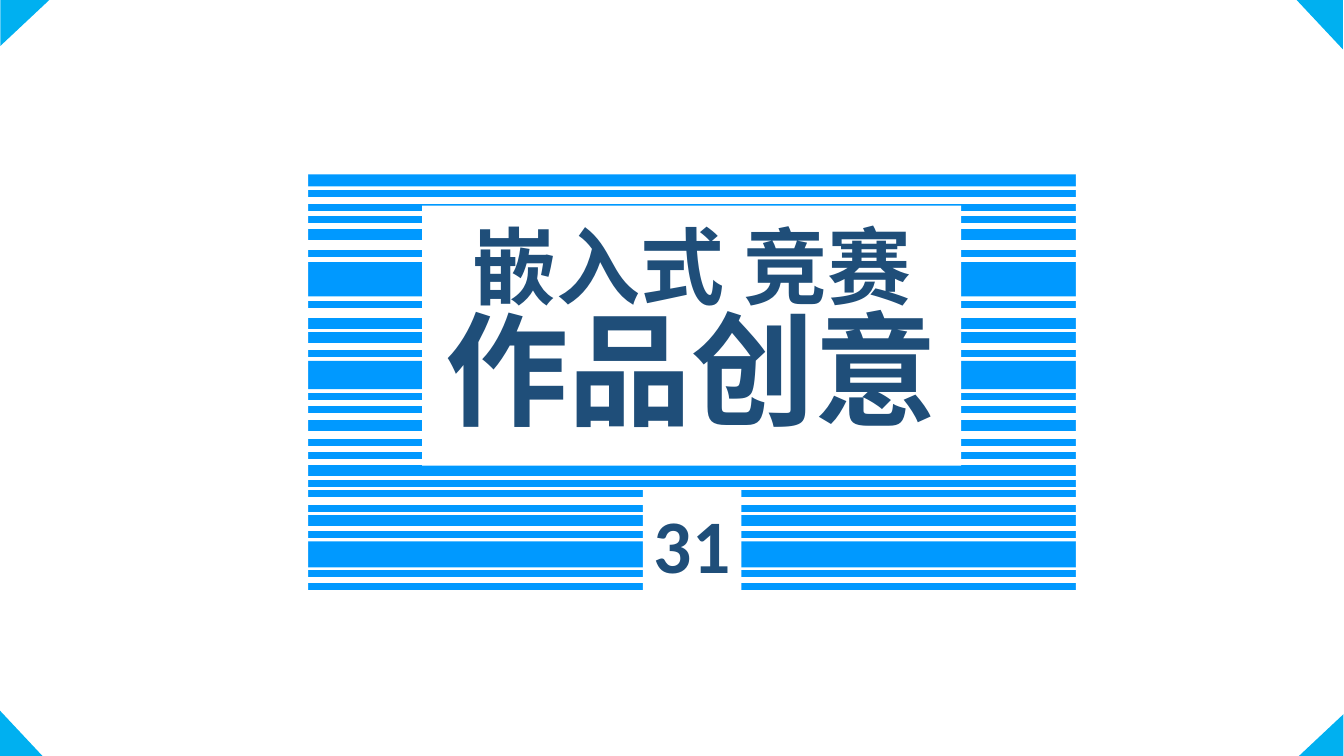
from dataclasses import dataclass

from lxml.etree import SubElement
from pptx import Presentation
from pptx.dml.color import RGBColor
from pptx.enum.shapes import MSO_CONNECTOR, MSO_SHAPE
from pptx.enum.text import MSO_ANCHOR, PP_ALIGN
from pptx.oxml.ns import qn
from pptx.shapes.autoshape import Shape
from pptx.slide import Slide
from pptx.util import Inches, Pt

BLUE, SKY, NAVY, WHITE = "0099FF", "00B0F0", "1F4E79", "FFFFFF"
CJK_FONT, NUMBER_FONT = "Noto Sans CJK SC", "Calibri"
STRIPE_LEFT, STRIPE_WIDTH = 2.92, 7.85
CORNER_WIDTH, CORNER_HEIGHT = 0.46, 0.49

THIN_STRIPES = [1.92, 2.06, 2.18, 2.52, 3.02, 3.19, 3.23, 3.51, 3.93, 4.06, 4.39,
                4.52, 4.8, 4.9, 5.04, 5.3, 5.69, 5.82]
MEDIUM_STRIPES = [2.33, 3.35, 4.22, 4.67, 5.16]


@dataclass(frozen=True)
class Box:
    left: float
    top: float
    width: float
    height: float


@dataclass(frozen=True)
class Corner:
    left: float
    top: float
    rotation: int


@dataclass(frozen=True)
class TextLine:
    text: str
    size: int
    font: str
    spacing: float = 1.0


BANDS = [Box(STRIPE_LEFT, top, STRIPE_WIDTH, height)
         for top, height in [(1.73, 0.12), (2.6, 0.34), (3.58, 0.28), (5.37, 0.26)]]
SIDE_MASKS = [Box(2.35, 0.46, 0.71, 6.29), Box(10.68, 0.69, 0.71, 6.29)]
CORNERS = [Corner(0, 7.05, 0), Corner(0.02, -0.02, 90),
           Corner(12.87, 0, 180), Corner(12.86, 7.07, 270)]
PANELS = [
    (Box(4.19, 2.04, 5.35, 2.58), [TextLine("嵌入式 竞赛", 60, CJK_FONT, 0.85),
                                   TextLine("作品创意", 88, CJK_FONT, 0.85)]),
    (Box(6.38, 4.85, 0.98, 1.07), [TextLine("31", 54, NUMBER_FONT)]),
]


def color(value: str) -> RGBColor:
    return RGBColor.from_string(value)


def add_filled(slide: Slide, box: Box, fill: str,
               kind: MSO_SHAPE = MSO_SHAPE.RECTANGLE) -> Shape:
    shape = slide.shapes.add_shape(kind, Inches(box.left), Inches(box.top),
                                   Inches(box.width), Inches(box.height))
    shape.shadow.inherit = False
    shape.fill.solid()
    shape.fill.fore_color.rgb = color(fill)
    shape.line.fill.background()
    return shape


def add_stripe(slide: Slide, y: float, weight: float) -> None:
    stripe = slide.shapes.add_connector(
        MSO_CONNECTOR.STRAIGHT, Inches(STRIPE_LEFT), Inches(y),
        Inches(STRIPE_LEFT + STRIPE_WIDTH), Inches(y))
    stripe.line.color.rgb = color(BLUE)
    stripe.line.width = Pt(weight)
    SubElement(stripe._element.spPr, qn("a:effectLst"))


def add_corner(slide: Slide, corner: Corner) -> None:
    box = Box(corner.left, corner.top, CORNER_WIDTH, CORNER_HEIGHT)
    add_filled(slide, box, SKY, MSO_SHAPE.RIGHT_TRIANGLE).rotation = corner.rotation


def add_panel(slide: Slide, box: Box, lines: list[TextLine]) -> None:
    frame = add_filled(slide, box, WHITE).text_frame
    frame.word_wrap = True
    frame.vertical_anchor = MSO_ANCHOR.MIDDLE
    for index, line in enumerate(lines):
        paragraph = frame.add_paragraph() if index else frame.paragraphs[0]
        paragraph.text = line.text
        paragraph.alignment = PP_ALIGN.CENTER
        paragraph.line_spacing = line.spacing
        font = paragraph.font
        font.name, font.size, font.bold = line.font, Pt(line.size), True
        font.color.rgb = color(NAVY)
        SubElement(font._element, qn("a:ea")).set("typeface", line.font)


def main() -> None:
    presentation = Presentation()
    presentation.slide_width, presentation.slide_height = Inches(13.34), Inches(7.5)
    slide = presentation.slides.add_slide(presentation.slide_layouts[6])
    for band in BANDS:
        add_filled(slide, band, BLUE)
    for weight, stripes in [(5, THIN_STRIPES), (8, MEDIUM_STRIPES)]:
        for y in stripes:
            add_stripe(slide, y, weight)
    for corner in CORNERS:
        add_corner(slide, corner)
    for mask in SIDE_MASKS:
        add_filled(slide, mask, WHITE)
    for box, lines in PANELS:
        add_panel(slide, box, lines)
    presentation.save("out.pptx")


if __name__ == "__main__":
    main()
